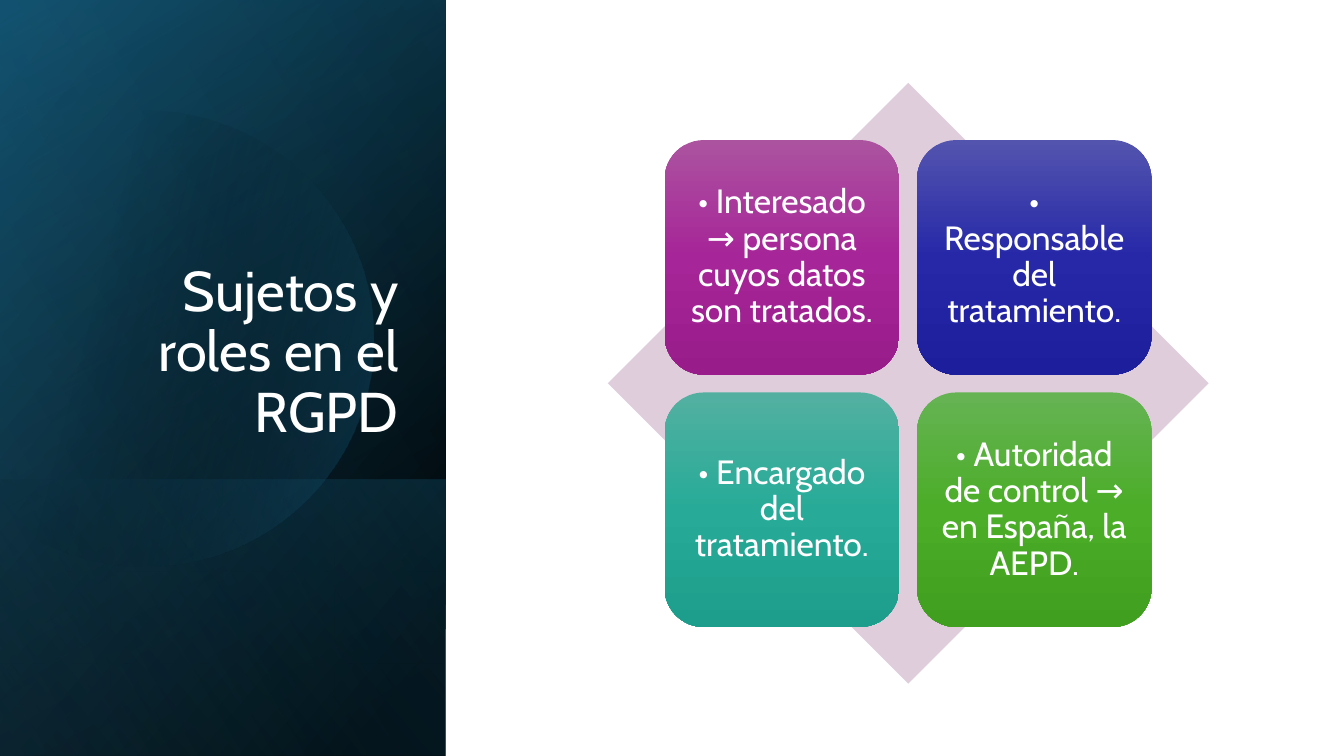
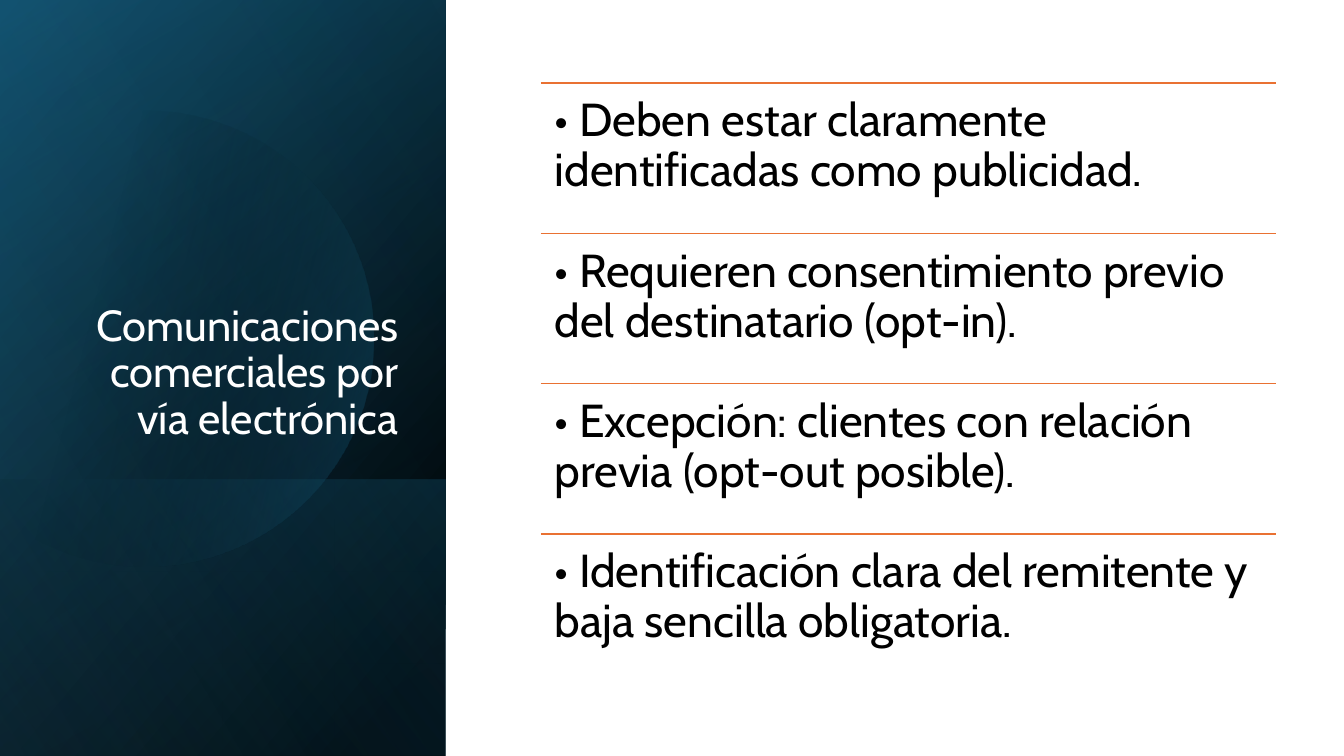
from math import acos, cos, sin

from lxml.etree import SubElement
from pptx import Presentation
from pptx.dml.color import RGBColor
from pptx.enum.shapes import MSO_CONNECTOR, MSO_SHAPE
from pptx.enum.text import MSO_ANCHOR, PP_ALIGN
from pptx.oxml import parse_xml
from pptx.oxml.ns import nsdecls, qn
from pptx.util import Cm, Pt

FONT = "Cabin"
HEX = {
    "black": "000000", "white": "FFFFFF", "navy": "104862",
    "teal": "156082", "sky": "46B1E1", "mauve": "DFCDDC",
    "orange": "E97132",
}
HIGH, WIDE = 19.05, 11.23  # side panel, in cm


def shade(shape, stops, angle):
    """Fill with a linear gradient of (position, hex, opacity) stops."""
    marks = "".join(
        f'<a:gs pos="{pos * 1000}"><a:srgbClr val="{tint}">'
        f'<a:alpha val="{alpha * 1000}"/></a:srgbClr></a:gs>'
        for pos, tint, alpha in stops)
    shape.element.spPr.insert(2, parse_xml(
        f'<a:gradFill {nsdecls("a")} rotWithShape="1"><a:gsLst>{marks}</a:gsLst>'
        f'<a:lin ang="{angle * 60000}" scaled="0"/></a:gradFill>'))
    shape.line.fill.background()
    shape.shadow.inherit = False


def write(shape, text, size, tint, align, anchor, pad=None):
    frame = shape.text_frame
    frame.word_wrap = True
    frame.vertical_anchor = anchor
    if pad is not None:
        frame.margin_left = frame.margin_right = Cm(pad)
        frame.margin_top = frame.margin_bottom = Cm(pad)
    frame.text = text
    para = frame.paragraphs[0]
    para.alignment = align
    para.line_spacing = 0.9
    font = para.runs[0].font
    font.name, font.size = FONT, Pt(size)
    font.color.rgb = RGBColor.from_string(HEX[tint])


deck = Presentation()
deck.slide_width, deck.slide_height = Cm(33.87), Cm(HIGH)

# Panel layers: top, height, stops, angle
layers = [
    (0, HIGH, [(8, HEX["black"], 100), (100, HEX["navy"], 100)], 50),
    (0, HIGH, [(0, HEX["black"], 0), (99, HEX["teal"], 46)], 30),
    (12.09, 6.96, [(2, HEX["teal"], 29), (100, HEX["black"], 30)], 130),
    (0, HIGH, [(0, HEX["black"], 0), (99, HEX["sky"], 11)], 120),
]

# Disc cut off by the left edge of the slide
mid, row, rad = 3.65, 8.53, 5.75
reach, steps = acos(-mid / rad), 120
arc = []
for step in range(steps + 1):
    turn = reach * (2 * step / steps - 1)
    arc.append((Cm(mid + rad * cos(turn)), Cm(row + rad * sin(turn))))

# Shared side panel and title
slides = []
for title, size in [("Sujetos y roles en el RGPD", 40),
                    ("Comunicaciones comerciales por vía electrónica", 31)]:
    slide = deck.slides.add_slide(deck.slide_layouts[6])
    slides.append(slide)
    for rank, (top, tall, stops, angle) in enumerate(layers):
        if rank == 3:
            path = slide.shapes.build_freeform(*arc[0], scale=1.0)
            path.add_line_segments(arc[1:], close=True)
            shade(path.convert_to_shape(),
                  [(29, HEX["black"], 0), (100, HEX["teal"], 43)], 14)
        # A quarter turn swaps the sides about the centre
        shift = (WIDE - tall) / 2
        band = slide.shapes.add_shape(MSO_SHAPE.RECTANGLE, Cm(shift),
                                      Cm(top - shift), Cm(tall), Cm(WIDE))
        band.rotation = 90
        band.element.spPr.find(qn("a:xfrm")).set("flipH", "1")
        shade(band, stops, angle)
    box = slide.shapes.add_textbox(Cm(1.63), Cm(4.67), Cm(8.66), Cm(6.65))
    write(box, title, size, "white", PP_ALIGN.RIGHT, MSO_ANCHOR.BOTTOM)

roles, mail = slides

# Roles: four tiles on a diamond
gem = roles.shapes.add_shape(MSO_SHAPE.DIAMOND, Cm(15.32), Cm(2.09),
                             Cm(15.14), Cm(15.14))
gem.fill.solid()
gem.fill.fore_color.rgb = RGBColor.from_string(HEX["mauve"])
gem.line.fill.background()
gem.shadow.inherit = False

side, pitch = 5.91, 6.36
tiles = [
    ("• Interesado → persona cuyos datos son tratados.",
     ("AC53A0", "A62598", "991C8B")),
    ("• Responsable del tratamiento.", ("5354AE", "2628A8", "1D1E9B")),
    ("• Encargado del tratamiento.", ("53B0A1", "27AB98", "1D9D8B")),
    ("• Autoridad de control → en España, la AEPD.",
     ("66B354", "4BAD28", "409F1E")),
]
for spot, (text, tints) in enumerate(tiles):
    down, over = divmod(spot, 2)
    tile = roles.shapes.add_shape(
        MSO_SHAPE.ROUNDED_RECTANGLE, Cm(16.75 + over * pitch),
        Cm(3.53 + down * pitch), Cm(side), Cm(side))
    shade(tile, [(pos, tint, 100) for pos, tint in zip((0, 50, 100), tints)], 90)
    write(tile, text, 24, "white", PP_ALIGN.CENTER, MSO_ANCHOR.MIDDLE, 0.25)

# Mail rules: ruled list
left, span, gap = 13.63, 18.53, 3.79
rules = [
    "• Deben estar claramente identificadas como publicidad.",
    "• Requieren consentimiento previo del destinatario (opt-in).",
    "• Excepción: clientes con relación previa (opt-out posible).",
    "• Identificación clara del remitente y baja sencilla obligatoria.",
]
for spot, text in enumerate(rules):
    top = Cm(2.09 + spot * gap)
    line = mail.shapes.add_connector(MSO_CONNECTOR.STRAIGHT, Cm(left), top,
                                     Cm(left + span), top)
    line.line.color.rgb = RGBColor.from_string(HEX["orange"])
    line.line.width = Pt(1)
    SubElement(line.element.spPr, qn("a:effectLst"))
    box = mail.shapes.add_textbox(Cm(left), top, Cm(span), Cm(gap))
    write(box, text, 33, "black", PP_ALIGN.LEFT, MSO_ANCHOR.TOP, 0.35)

deck.save("out.pptx")
